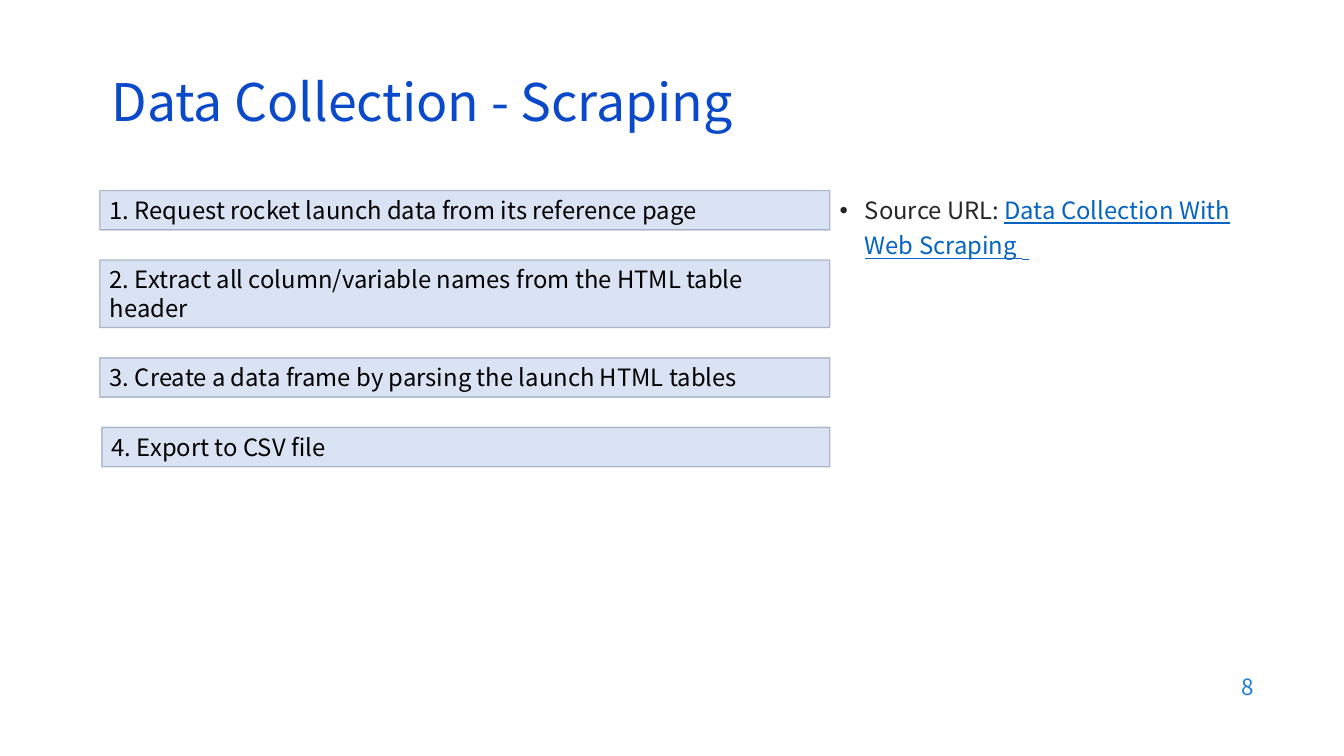
from lxml import etree
from pptx import Presentation
from pptx.dml.color import RGBColor
from pptx.enum.shapes import MSO_SHAPE as Shape
from pptx.enum.text import MSO_ANCHOR as Anchor, PP_ALIGN as Align
from pptx.oxml.ns import qn
from pptx.util import Pt

PX = 9144
FONT = "Noto Sans CJK TC"
STEPS = [
    ("1. Request rocket launch data from its reference page", 1, 0),
    ("2. Extract all column/variable names from the HTML table header", 2, 0),
    ("3. Create a data frame by parsing the launch HTML tables", 1, 0),
    ("4. Export to CSV file", 1, 2),
]


def color(value):
    return RGBColor.from_string(value)


def emu(*lengths):
    return [length * PX for length in lengths]


def add_run(paragraph, text, size=17, fill="000000", underline=None):
    run = paragraph.add_run()
    run.text = text
    font = run.font
    font.name, font.size, font.underline = FONT, Pt(size), underline
    font.color.rgb = color(fill)
    properties = run._r.get_or_add_rPr()
    etree.SubElement(properties, qn("a:ea"), typeface=FONT)


def write(shape, text, anchor=Anchor.TOP, align=Align.LEFT, spacing=None, **style):
    frame = shape.text_frame
    frame.word_wrap = True
    frame.vertical_anchor = anchor
    paragraph = frame.paragraphs[0]
    paragraph.alignment = align
    if spacing:
        paragraph.line_spacing = spacing
    add_run(paragraph, text, **style)
    return paragraph


def add_label(slide, box, text, **style):
    return write(slide.shapes.add_textbox(*emu(*box)), text, **style)


def add_steps(slide, left, top, width):
    line_height, padding, gap = 28, 11, 30
    for text, lines, inset in STEPS:
        height = lines * line_height + padding
        box = emu(left + inset, top, width - inset, height)
        shape = slide.shapes.add_shape(Shape.RECTANGLE, *box)
        shape.shadow.inherit = False
        shape.fill.solid()
        shape.fill.fore_color.rgb = color("DAE3F3")
        shape.line.width = Pt(1)
        shape.line.color.rgb = color("203864")
        outline = shape.line._ln.find(".//" + qn("a:srgbClr"))
        etree.SubElement(outline, qn("a:alpha"), val="30000")
        write(shape, text)
        top += height + gap


def add_source(slide, box):
    paragraph = add_label(slide, box, "Source URL: ", fill="262626")
    properties = paragraph._p.get_or_add_pPr()
    properties.set("marL", str(25 * PX))
    properties.set("indent", str(-25 * PX))
    etree.SubElement(properties, qn("a:buFont"), typeface="Arial")
    etree.SubElement(properties, qn("a:buChar"), char="•")
    add_run(paragraph, "Data Collection With Web Scraping ", fill="0563C1", underline=True)
    add_run(paragraph, " ", size=22, fill="0563C1", underline=True)


def main():
    presentation = Presentation()
    presentation.slide_width, presentation.slide_height = emu(1333, 750)
    slide = presentation.slides.add_slide(presentation.slide_layouts[6])
    add_label(slide, (101, 76, 1150, 60), "Data Collection - Scraping",
              anchor=Anchor.MIDDLE, spacing=0.8, size=37, fill="0B49CB")
    add_steps(slide, 99, 189, 724)
    add_source(slide, (823, 189, 430, 417))
    add_label(slide, (953, 659, 300, 44), "8",
              anchor=Anchor.MIDDLE, align=Align.RIGHT, size=16, fill="1C7DDB")
    presentation.save("out.pptx")


if __name__ == "__main__":
    main()
